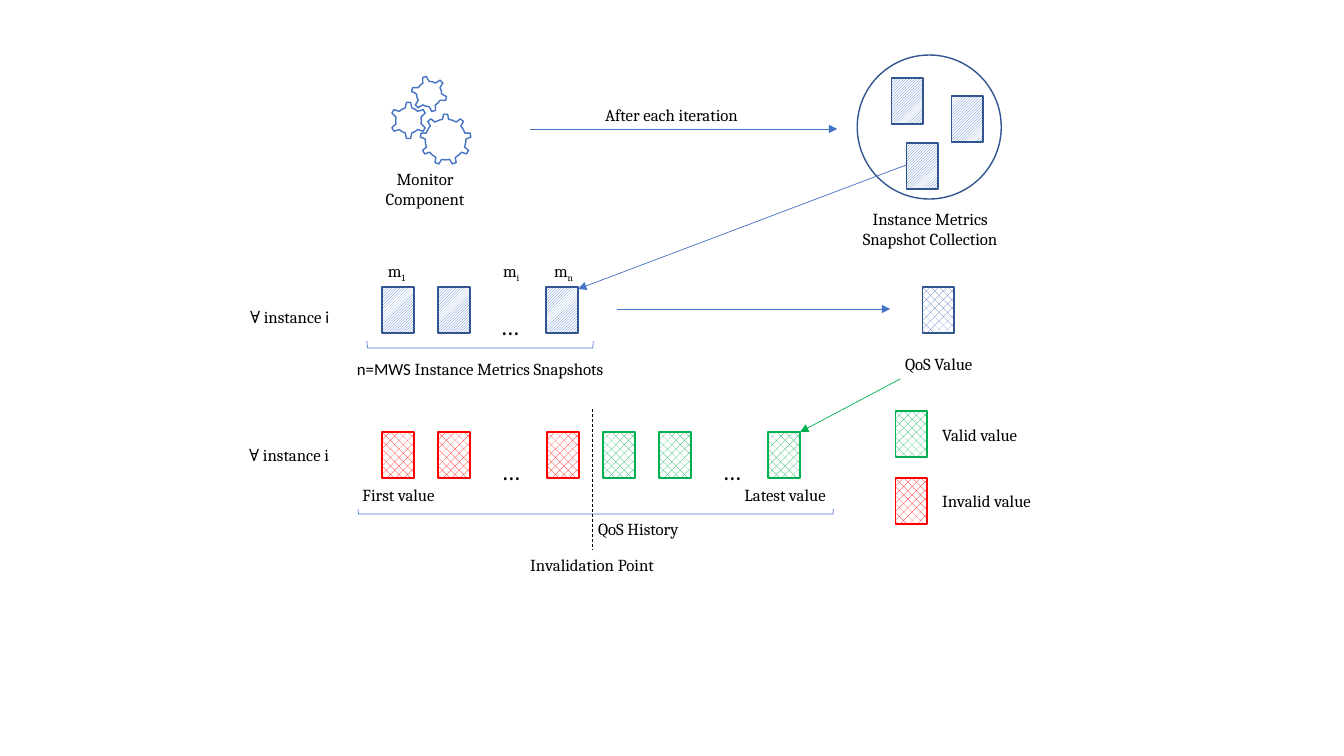
from dataclasses import dataclass
from lxml import etree
from pptx import Presentation
from pptx import util as u
from pptx.dml.color import RGBColor
from pptx.enum import dml, shapes, text
from pptx.oxml.ns import qn


@dataclass(frozen=True)
class Theme:
    blue: str = "4472C4"
    navy: str = "325491"
    red: str = "FF0000"
    green: str = "00B050"
    black: str = "000000"
    white: str = "FFFFFF"
    serif: str = "Cambria"
    sans: str = "Calibri"
    label: int = 12
    dots: int = 18
    thin: float = 0.5
    outline: int = 1


theme = Theme()
SCALE = 914400 / 100.8
BOX_W, BOX_H = 32, 46
color = RGBColor.from_string
auto = shapes.MSO_SHAPE

deck = Presentation()
deck.slide_width, deck.slide_height = u.Inches(13.33), u.Inches(7.5)
page = deck.slides.add_slide(deck.slide_layouts[6])


def emu(*pixels):
    return [u.Emu(round(pixel * SCALE)) for pixel in pixels]


def outlined(parent, kind, left, top, width, height, line, weight=theme.outline):
    shape = parent.shapes.add_shape(kind, *emu(left, top, width, height))
    shape.shadow.inherit = False
    shape.fill.background()
    shape.line.color.rgb = color(line)
    shape.line.width = u.Pt(weight)
    return shape


# Monitor gears
gears = page.shapes.add_group_shape()
for kind, left, top, size, turn in [
    (auto.GEAR_9, 420, 114, 51, 0),
    (auto.GEAR_6, 390, 102, 37, 0),
    (auto.GEAR_6, 411, 76, 36, 345),
]:
    outlined(gears, kind, left, top, size, size, theme.blue).rotation = turn

# Snapshot collection circle
outlined(page, auto.OVAL, 857, 55, 144, 144, theme.navy)

# Snapshot, QoS, history and legend boxes
stripes = dml.MSO_PATTERN.from_xml("ltUpDiag")
grid = dml.MSO_PATTERN.from_xml("pct40")
for pattern, ink, line, places in [
    (stripes, theme.blue, theme.navy,
     [(891, 78), (951, 96), (906, 143), (382, 287), (438, 287), (546, 287)]),
    (grid, theme.blue, theme.navy, [(922, 287)]),
    (grid, theme.red, theme.red, [(382, 432), (438, 432), (547, 432), (895, 478)]),
    (grid, theme.green, theme.green, [(603, 432), (659, 432), (768, 432), (895, 411)]),
]:
    for left, top in places:
        box = outlined(page, auto.RECTANGLE, left, top, BOX_W, BOX_H, line)
        box.fill.patterned()
        box.fill.pattern = pattern
        box.fill.fore_color.rgb = color(ink)
        box.fill.back_color.rgb = color(theme.white)

# Brackets, turned so that they open upwards
for left, top, width, height in [(367, 341, 226, 7), (358, 509, 475, 5)]:
    bracket = outlined(page, auto.LEFT_BRACKET, left + (width - height) / 2,
                       top + (height - width) / 2, height, width, theme.blue, theme.thin)
    bracket.rotation = 270

# Arrows and the dashed invalidation line
for start, end, line, dashed in [
    ((530, 129), (837, 129), theme.blue, False),
    ((617, 309), (890, 309), theme.blue, False),
    ((906, 165), (578, 289), theme.blue, False),
    ((900, 379), (800, 432), theme.green, False),
    ((592, 409), (592, 550), theme.black, True),
]:
    link = page.shapes.add_connector(shapes.MSO_CONNECTOR.STRAIGHT, *emu(*start, *end))
    link.line.color.rgb = color(line)
    link.line.width = u.Pt(theme.thin)
    if dashed:
        link.line.dash_style = dml.MSO_LINE.DASH
    else:
        etree.SubElement(link._element.spPr.find(qn("a:ln")), qn("a:tailEnd"), type="triangle")
    etree.SubElement(link._element.spPr, qn("a:effectLst"))

# Labels: words, left, top, width, height, alignment, wrap
LEFT, CENTER, RIGHT = text.PP_ALIGN.LEFT, text.PP_ALIGN.CENTER, text.PP_ALIGN.RIGHT
SUB, SANS = "sub", "sans"
for words, left, top, width, height, align, wrap in [
    ("Monitor Component", 369, 164, 112, 50, CENTER, True),
    ("After each iteration", 595, 100, 166, 30, LEFT, False),
    ("Instance Metrics Snapshot Collection", 845, 204, 170, 50, CENTER, True),
    ([("m", None), ("1", SUB)], 378, 256, 40, 30, LEFT, False),
    ([("m", None), ("i", SUB)], 493, 256, 37, 30, LEFT, False),
    ([("m", None), ("n", SUB)], 544, 256, 41, 30, LEFT, False),
    ([("∀ instance ", None), ("i", SANS)], 231, 302, 108, 30, RIGHT, False),
    ("∀ instance i", 231, 440, 108, 30, RIGHT, False),
    ([("n=MWS", SANS), (" Instance Metrics Snapshots", None)],
     332, 354, 296, 30, CENTER, True),
    ("QoS Value", 875, 349, 127, 30, CENTER, True),
    ("Valid value", 932, 420, 106, 30, LEFT, False),
    ("Invalid value", 932, 486, 117, 30, LEFT, False),
    ("First value", 348, 480, 101, 30, CENTER, False),
    ("Latest value", 729, 480, 112, 30, CENTER, False),
    ("QoS History", 588, 514, 112, 30, LEFT, False),
    ("Invalidation Point", 477, 550, 230, 30, CENTER, True),
    ("…", 490, 305, 41, 40, LEFT, False),
    ("…", 491, 450, 41, 40, LEFT, False),
    ("…", 712, 450, 41, 40, LEFT, False),
]:
    label = page.shapes.add_textbox(*emu(left, top, width, height))
    frame = label.text_frame
    frame.word_wrap = wrap
    frame.auto_size = text.MSO_AUTO_SIZE.SHAPE_TO_FIT_TEXT
    para = frame.paragraphs[0]
    para.alignment = align
    para.font.name = theme.serif
    para.font.size = u.Pt(theme.dots if words == "…" else theme.label)
    para.font.color.rgb = color(theme.black)
    for piece, style in [(words, None)] if isinstance(words, str) else words:
        span = para.add_run()
        span.text = piece
        if style == SUB:
            span.font._element.set("baseline", "-25000")
        elif style == SANS:
            span.font.name = theme.sans

deck.save("out.pptx")
